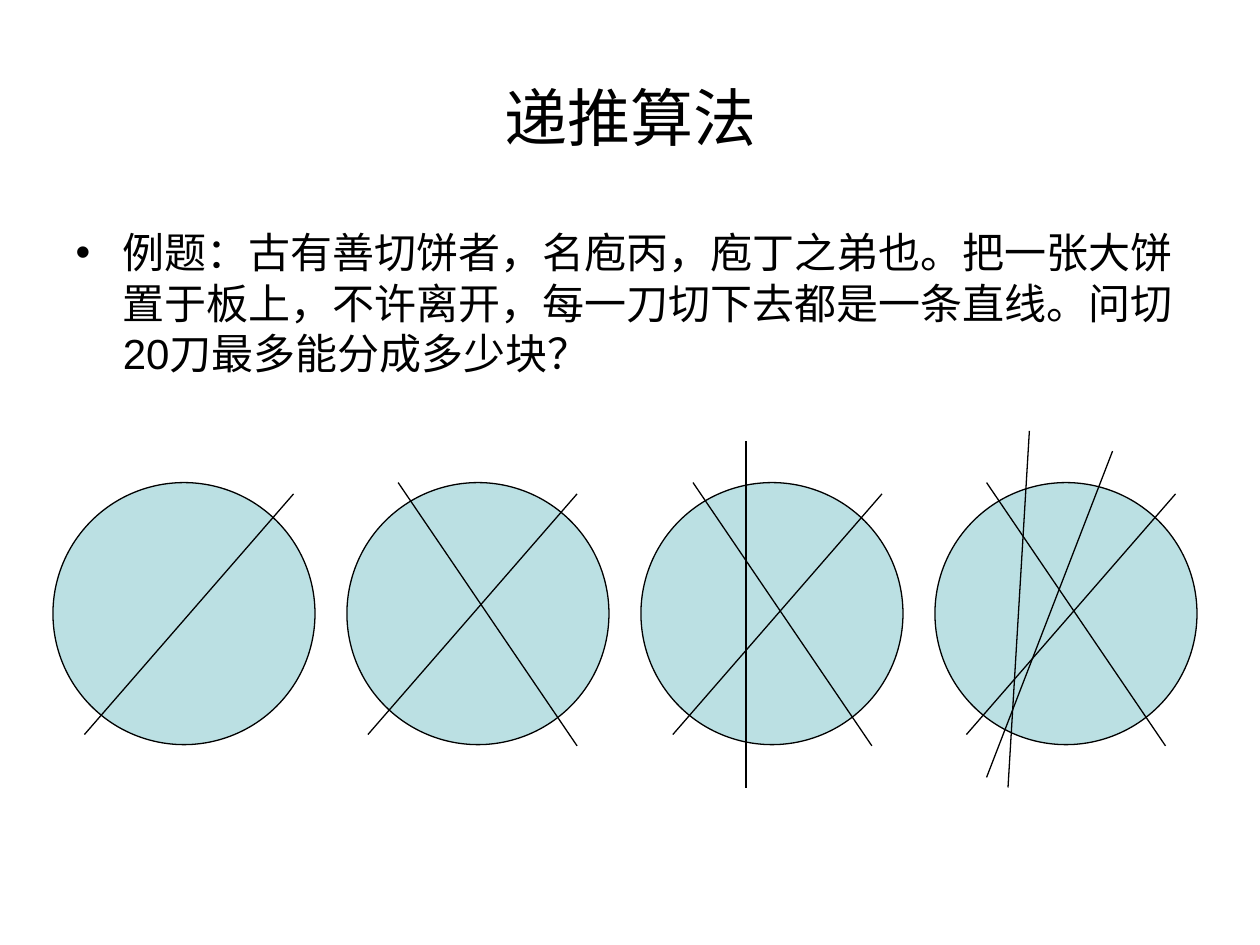
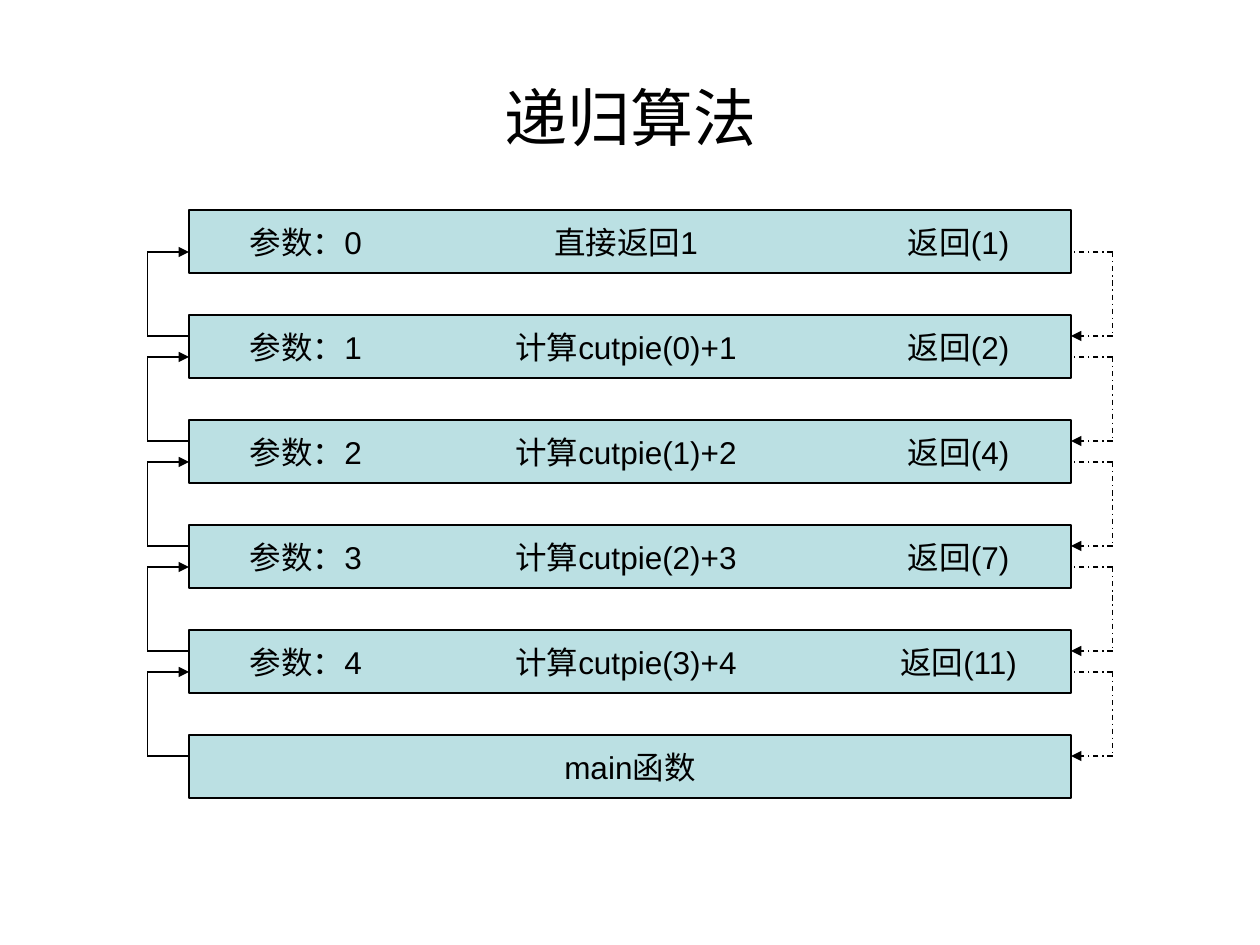
from pptx import Presentation
from pptx.dml.color import RGBColor
from pptx.enum.dml import MSO_LINE_DASH_STYLE as Dash
from pptx.enum.shapes import MSO_CONNECTOR as Connector, MSO_SHAPE as Shape
from pptx.enum.text import MSO_ANCHOR as Anchor, MSO_AUTO_SIZE as AutoSize, PP_ALIGN as Align
from pptx.oxml.ns import qn
from pptx.util import Inches, Pt
from lxml import etree

INK = "000000"
PALE_TEAL = "BBE0E3"
FONT = "Arial"
LINE_WIDTH = Pt(0.75)
TITLE_LAYOUTS = {"递推算法": 1, "递归算法": 5}


def paint(target, color):
    """Give a line, fill or font holder one solid colour."""
    target.fill.solid()
    target.fill.fore_color.rgb = RGBColor.from_string(color)


def draw_line(page, start, end, dash=None, arrow=False):
    line = page.shapes.add_connector(Connector.STRAIGHT, *map(Inches, start + end))
    paint(line.line, INK)
    line.line.width = LINE_WIDTH
    if dash:
        line.line.dash_style = dash
    properties = line._element.spPr
    if arrow:
        outline = properties.find(qn("a:ln"))
        etree.SubElement(outline, qn("a:tailEnd"), type="triangle")
    etree.SubElement(properties, qn("a:effectLst"))


deck = Presentation()
deck.slide_width, deck.slide_height = Inches(10), Inches(7.5)

# Pages with their shared title style
pages = []
for heading, layout in TITLE_LAYOUTS.items():
    page = deck.slides.add_slide(deck.slide_layouts[layout])
    title = page.shapes.title
    title.left, title.top, title.width, title.height = map(Inches, (0.5, 0.3, 9, 1.25))
    title.text_frame.auto_size = AutoSize.NONE
    title.text_frame.vertical_anchor = Anchor.MIDDLE
    para = title.text_frame.paragraphs[0]
    para.alignment = Align.CENTER
    span = para.add_run()
    span.text = heading
    span.font.name, span.font.size = FONT, Pt(36)
    paint(span.font, INK)
    pages.append(page)
pie_page, stack_page = pages

# Slide 1: the question
body = pie_page.placeholders[1]
body.left, body.top, body.width, body.height = map(Inches, (0.5, 1.75, 9, 4.58))
body.text_frame.auto_size = AutoSize.NONE
para = body.text_frame.paragraphs[0]
para.space_before = Pt(0)
span = para.add_run()
span.text = (
    "例题：古有善切饼者，名庖丙，庖丁之弟也。把一张大饼置于板上，"
    "不许离开，每一刀切下去都是一条直线。问切20刀最多能分成多少块？"
)
span.font.name, span.font.size = FONT, Pt(24)
paint(span.font, INK)

# Slide 1: four pies, each with one more cut than the last
PIE_LEFT, PIE_TOP, PIE_SIZE, PIE_STEP = 0.42, 3.83, 2.08, 7 / 3
for index in range(4):
    pie = pie_page.shapes.add_shape(
        Shape.OVAL, Inches(PIE_LEFT + index * PIE_STEP), Inches(PIE_TOP),
        Inches(PIE_SIZE), Inches(PIE_SIZE))
    pie.shadow.inherit = False
    paint(pie, PALE_TEAL)
    paint(pie.line, INK)
    pie.line.width = LINE_WIDTH

for right in (2.33, 4.58, 7, 9.33):
    draw_line(pie_page, (right, 3.92), (right - 1.66, 5.83))
for right in (4.58, 6.92, 9.25):
    draw_line(pie_page, (right, 5.92), (right - 1.42, 3.83))
draw_line(pie_page, (5.92, 3.5), (5.92, 6.25))
draw_line(pie_page, (8.17, 3.42), (8, 6.25))
draw_line(pie_page, (7.83, 6.17), (8.83, 3.58))

# Slide 2: call stack, with the parts of each call centred on tab stops
STACK_LEFT, STACK_RIGHT, ROW_HEIGHT = 1.5, 8.5, 0.5
STACK_TOP, ROW_STEP = 5 / 3, 5 / 6
CALL_TABS = (0.83, 3.37, 6.01)
calls = [
    ("参数：0", "直接返回1", "返回(1)"),
    ("参数：1", "计算cutpie(0)+1", "返回(2)"),
    ("参数：2", "计算cutpie(1)+2", "返回(4)"),
    ("参数：3", "计算cutpie(2)+3", "返回(7)"),
    ("参数：4", "计算cutpie(3)+4", "返回(11)"),
    ("main函数",),
]
for index, parts in enumerate(calls):
    box = stack_page.shapes.add_shape(
        Shape.RECTANGLE, Inches(STACK_LEFT), Inches(STACK_TOP + index * ROW_STEP),
        Inches(STACK_RIGHT - STACK_LEFT), Inches(ROW_HEIGHT))
    box.shadow.inherit = False
    paint(box, PALE_TEAL)
    paint(box.line, INK)
    box.line.width = LINE_WIDTH
    box.text_frame.word_wrap = True
    box.text_frame.vertical_anchor = Anchor.MIDDLE
    para = box.text_frame.paragraphs[0]
    is_call = len(parts) > 1
    para.alignment = Align.LEFT if is_call else Align.CENTER
    if is_call:
        tabs = etree.SubElement(para._p.get_or_add_pPr(), qn("a:tabLst"))
        for stop in CALL_TABS:
            etree.SubElement(tabs, qn("a:tab"), pos=str(Inches(stop)), algn="ctr")
    for part in parts:
        span = para.add_run()
        span.text = "\t" + part if is_call else part
        span.font.name, span.font.size = FONT, Pt(18)
        paint(span.font, INK)

# Slide 2: calls climb on the left, returns descend on the right
CALL_RAIL, RETURN_RAIL = 1.17, 8.83
for index in range(len(calls) - 1):
    upper = 2 + index * ROW_STEP
    lower = upper + 2 / 3
    draw_line(stack_page, (STACK_LEFT, lower), (CALL_RAIL, lower))
    draw_line(stack_page, (CALL_RAIL, upper), (CALL_RAIL, lower))
    draw_line(stack_page, (CALL_RAIL, upper), (STACK_LEFT, upper), arrow=True)
    draw_line(stack_page, (RETURN_RAIL, upper), (STACK_RIGHT, upper), Dash.DASH_DOT)
    draw_line(stack_page, (RETURN_RAIL, upper), (RETURN_RAIL, lower), Dash.DASH_DOT)
    draw_line(stack_page, (RETURN_RAIL, lower), (STACK_RIGHT, lower), Dash.DASH_DOT, arrow=True)

deck.save("out.pptx")
